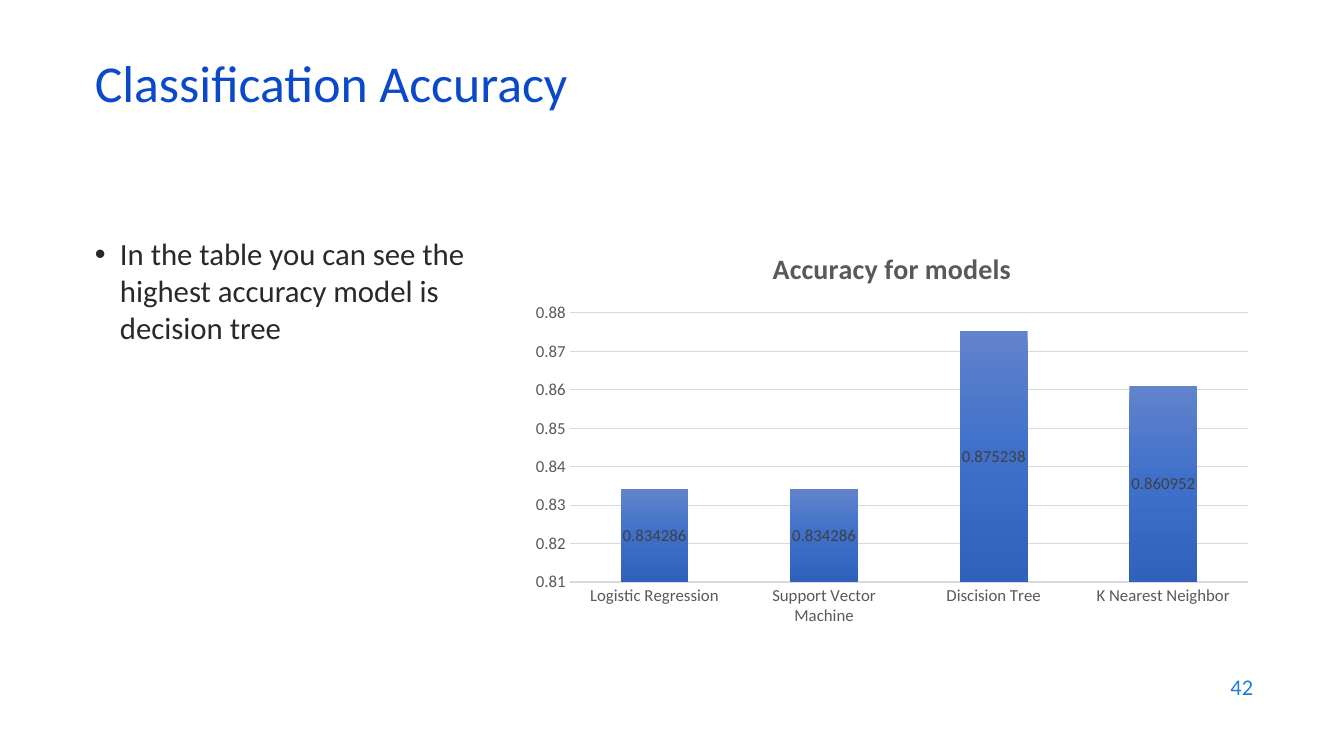
from dataclasses import dataclass

from lxml.etree import SubElement
from pptx import Presentation
from pptx.chart.data import CategoryChartData
from pptx.dml.color import RGBColor
from pptx.enum.chart import XL_CHART_TYPE, XL_LABEL_POSITION, XL_TICK_MARK
from pptx.enum.text import MSO_ANCHOR, MSO_AUTO_SIZE, PP_ALIGN
from pptx.oxml.ns import qn
from pptx.util import Pt

FONT = "Calibri"
GRAY = "595959"
RULE = "D9D9D9"


@dataclass
class Label:
    text: str
    left: float
    top: float
    width: float
    height: float
    size: float
    color: str
    align: PP_ALIGN = PP_ALIGN.LEFT
    anchor: MSO_ANCHOR = MSO_ANCHOR.MIDDLE
    spacing: float = 1.0
    bullet: bool = False


@dataclass
class Score:
    model: str
    value: float


@dataclass
class Stop:
    percent: int
    color: str


HEAD = Label("Classification Accuracy", 60.5, 42.5, 828, 43.2, 37, "0B49CB", spacing=0.7)
NOTE = Label("In the table you can see the highest accuracy model is decision tree",
             60.5, 164.2, 290.9, 300.2, 22, "292929", anchor=MSO_ANCHOR.TOP, bullet=True)
PAGE = Label("42", 686.2, 474.5, 216, 31.7, 16, "1C7DDB", align=PP_ALIGN.RIGHT)

SCORES = [
    Score("Logistic Regression", 0.834286),
    Score("Support Vector Machine", 0.834286),
    Score("Discision Tree", 0.875238),
    Score("K Nearest Neighbor", 0.860952),
]
STOPS = [Stop(0, "6183CB"), Stop(50, "3E70CA"), Stop(100, "3062BB")]


def paint(font, size: float, color: str, bold: bool = False) -> None:
    font.name = FONT
    font.size = Pt(size)
    font.bold = bold
    font.color.rgb = RGBColor.from_string(color)


def write(shape, label: Label) -> None:
    shape.left, shape.top = Pt(label.left), Pt(label.top)
    shape.width, shape.height = Pt(label.width), Pt(label.height)
    frame = shape.text_frame
    frame.text = label.text
    frame.word_wrap = True
    frame.auto_size = MSO_AUTO_SIZE.NONE
    frame.vertical_anchor = label.anchor
    para = frame.paragraphs[0]
    para.alignment = label.align
    para.line_spacing = label.spacing
    para.space_before = Pt(0)
    if label.bullet:
        props = para._p.get_or_add_pPr()
        props.set("marL", str(Pt(18)))
        props.set("indent", str(Pt(-18)))
        SubElement(props, qn("a:buFont"), typeface="Arial")
        SubElement(props, qn("a:buChar"), char="•")
    paint(para.runs[0].font, label.size, label.color)


def shade(fill, stops: list[Stop]) -> None:
    fill.gradient()
    grad = fill._xPr.find(qn("a:gradFill"))
    for child in list(grad):
        grad.remove(child)
    group = SubElement(grad, qn("a:gsLst"))
    for stop in stops:
        node = SubElement(group, qn("a:gs"), pos=str(stop.percent * 1000))
        SubElement(node, qn("a:srgbClr"), val=stop.color)
    SubElement(grad, qn("a:lin"), ang="5400000", scaled="0")


def rule(line, width: float) -> None:
    line.color.rgb = RGBColor.from_string(RULE)
    line.width = Pt(width)


def plot(slide, scores: list[Score]) -> None:
    data = CategoryChartData()
    data.categories = [score.model for score in scores]
    data.add_series("Series 1", [score.value for score in scores])
    chart = slide.shapes.add_chart(XL_CHART_TYPE.COLUMN_STACKED, Pt(372.2), Pt(164.2),
                                   Pt(529.9), Pt(288.7), data).chart
    paint(chart.font, 10, "000000")
    chart.has_legend = False

    # Chart title
    chart.has_title = True
    frame = chart.chart_title.text_frame
    frame.text = "Accuracy for models"
    paint(frame.paragraphs[0].runs[0].font, 20, GRAY, bold=True)
    chart.chart_title.include_in_layout = False

    # Axes
    for axis in (chart.category_axis, chart.value_axis):
        axis.major_tick_mark = XL_TICK_MARK.NONE
        axis.minor_tick_mark = XL_TICK_MARK.NONE
        paint(axis.tick_labels.font, 12, GRAY)
    rule(chart.category_axis.format.line, 1)
    scale = chart.value_axis
    scale.minimum_scale, scale.maximum_scale, scale.major_unit = 0.81, 0.88, 0.01
    scale.format.line.fill.background()
    scale.has_major_gridlines = True
    rule(scale.major_gridlines.format.line, 0.75)

    # Bars and their values
    bars = chart.plots[0]
    bars.gap_width, bars.overlap = 150, 100
    bars.vary_by_categories = False
    series = bars.series[0]
    shade(series.format.fill, STOPS)
    values = series.data_labels
    values.show_value = True
    values.position = XL_LABEL_POSITION.CENTER
    paint(values.font, 12, "404040")


def main() -> None:
    deck = Presentation()
    deck.slide_width, deck.slide_height = Pt(960), Pt(540)
    slide = deck.slides.add_slide(deck.slide_layouts[1])

    # Text
    write(slide.shapes.title, HEAD)
    write(slide.placeholders[1], NOTE)
    write(slide.shapes.add_textbox(0, 0, 0, 0), PAGE)

    # Chart
    plot(slide, SCORES)
    deck.save("out.pptx")


if __name__ == "__main__":
    main()
